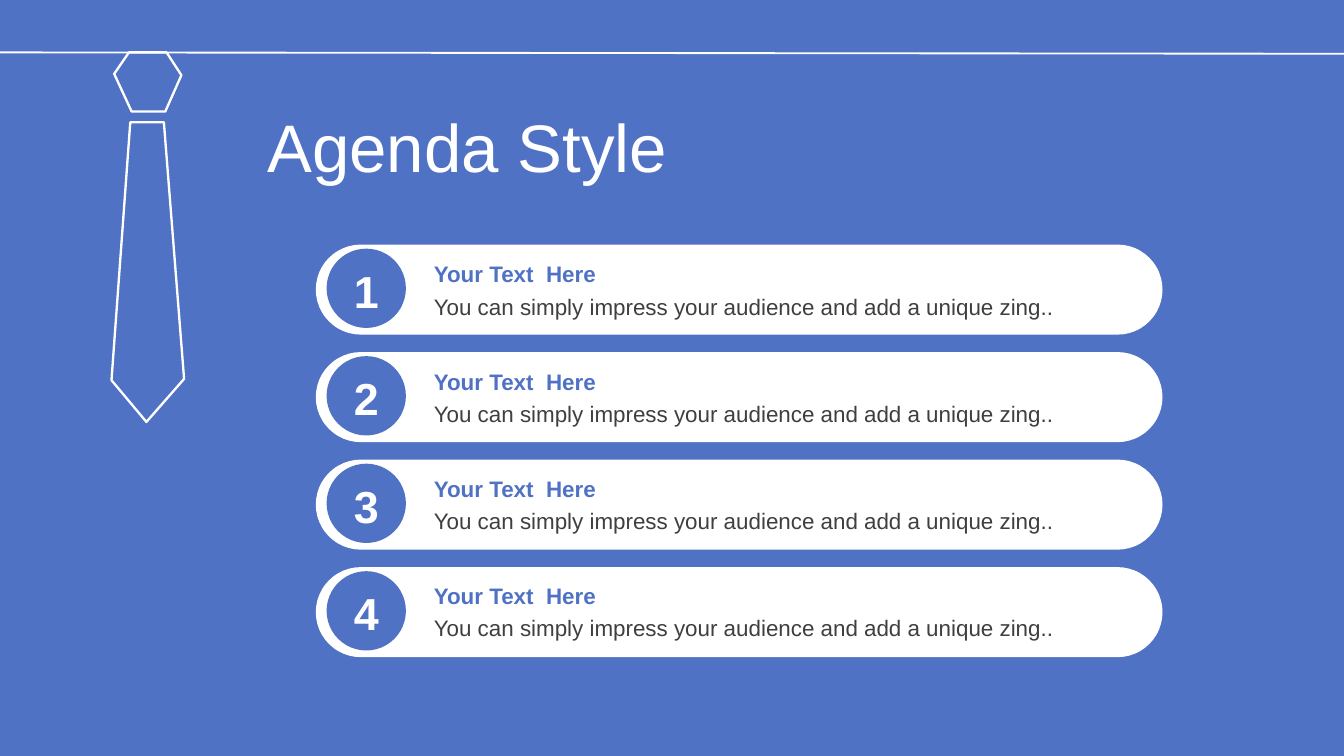
import dataclasses

import pptx
import pptx.dml.color
import pptx.enum.shapes
import pptx.enum.text
import pptx.oxml.ns
import pptx.util
from lxml import etree

SHAPE = pptx.enum.shapes.MSO_SHAPE
ALIGN = pptx.enum.text.PP_ALIGN
Inches = pptx.util.Inches


@dataclasses.dataclass(frozen=True)
class Theme:
    font: str = "Arial"
    blue: str = "5072C4"
    white: str = "FFFFFF"
    grey: str = "3F3F3F"
    title: int = 36
    number: int = 24
    body: int = 12
    outline: float = 1.25
    rule: float = 1


THEME = Theme()
WIDTH = 10
HEIGHT = WIDTH * 9 / 16
ROW_TOP, ROW_STEP = 1.82, 0.8
PILL_LEFT, PILL_WIDTH, PILL_HEIGHT = 2.35, 6.3, 0.67
TEXT_LEFT, TEXT_WIDTH, LINE_HEIGHT = 3.13, 5.13, 0.3
TEXT_TOP, TEXT_STEP = 1.89, (4.28 - 1.89) / 3
KNOT = [(0.85, 0.55), (0.96, 0.39), (1.24, 0.39), (1.35, 0.56), (1.23, 0.83), (0.98, 0.83)]
BLADE = [(1.37, 2.82), (1.09, 3.14), (0.83, 2.83), (0.97, 0.91), (1.22, 0.91)]
ITEMS = [("Your Text  Here", "You can simply impress your audience and add a unique zing..")] * 4


def rgb(color):
    return pptx.dml.color.RGBColor.from_string(color)


def box(left, top, width, height):
    return [Inches(v) for v in (left, top, width, height)]


def write(tf, text, size, color, bold=False, align=ALIGN.LEFT):
    tf.word_wrap = True
    p = tf.paragraphs[0]
    p.text, p.alignment = text, align
    p.font.name, p.font.size, p.font.bold = THEME.font, pptx.util.Pt(size), bold
    p.font.color.rgb = rgb(color)


def add_title(s, text):
    sp = s.shapes.title
    sp.left, sp.top, sp.width, sp.height = box(1.89, 0.77, WIDTH - 1.89, 0.63)
    sp.text_frame.vertical_anchor = pptx.enum.text.MSO_ANCHOR.MIDDLE
    write(sp.text_frame, text, THEME.title, THEME.white)


def add_text(s, area, text, size, color, **style):
    write(s.shapes.add_textbox(*box(*area)).text_frame, text, size, color, **style)


def set_fill(sp, color):
    sp.shadow.inherit = False
    sp.fill.solid()
    sp.fill.fore_color.rgb = rgb(color)


def add_filled(s, kind, area, color):
    sp = s.shapes.add_shape(kind, *box(*area))
    set_fill(sp, color)
    sp.line.fill.background()
    return sp


def add_outline(s, points):
    start, *rest = [(Inches(x), Inches(y)) for x, y in points]
    builder = s.shapes.build_freeform(*start)
    builder.add_line_segments(rest, close=True)
    sp = builder.convert_to_shape()
    sp.shadow.inherit = False
    sp.fill.background()
    sp.line.color.rgb = rgb(THEME.white)
    sp.line.width = pptx.util.Pt(THEME.outline)
    return sp


def add_rule(s, y_start, y_end):
    line = s.shapes.add_connector(pptx.enum.shapes.MSO_CONNECTOR.STRAIGHT,
                                  *box(0, y_start, WIDTH, y_end))
    line.line.color.rgb = rgb(THEME.white)
    line.line.width = pptx.util.Pt(THEME.rule)
    etree.SubElement(line._element.spPr, pptx.oxml.ns.qn("a:effectLst"))


def add_agenda_item(s, index, heading, detail):
    top = ROW_TOP + index * ROW_STEP
    text_top = TEXT_TOP + index * TEXT_STEP
    pill = add_filled(s, SHAPE.ROUNDED_RECTANGLE,
                      (PILL_LEFT, top, PILL_WIDTH, PILL_HEIGHT), THEME.white)
    pill.adjustments[0] = 0.5
    add_filled(s, SHAPE.OVAL, (PILL_LEFT + 0.08, top + 0.03, 0.59, 0.59), THEME.blue)
    add_text(s, (PILL_LEFT + 0.14, top + 0.09, 0.47, 0.5), str(index + 1),
             THEME.number, THEME.white, bold=True, align=ALIGN.CENTER)
    add_text(s, (TEXT_LEFT, text_top + 0.24, TEXT_WIDTH, LINE_HEIGHT), detail,
             THEME.body, THEME.grey)
    add_text(s, (TEXT_LEFT, text_top, TEXT_WIDTH, LINE_HEIGHT), heading,
             THEME.body, THEME.blue, bold=True)


def main():
    prs = pptx.Presentation()
    prs.slide_width, prs.slide_height = Inches(WIDTH), Inches(HEIGHT)
    s = prs.slides.add_slide(prs.slide_layouts.get_by_name("Title Only"))
    s.background.fill.solid()
    s.background.fill.fore_color.rgb = rgb(THEME.blue)

    add_title(s, "Agenda Style")
    set_fill(add_outline(s, KNOT), THEME.blue)
    add_outline(s, BLADE)
    add_rule(s, 0.39, 0.4)
    for index, (heading, detail) in enumerate(ITEMS):
        add_agenda_item(s, index, heading, detail)

    prs.save("out.pptx")


if __name__ == "__main__":
    main()
